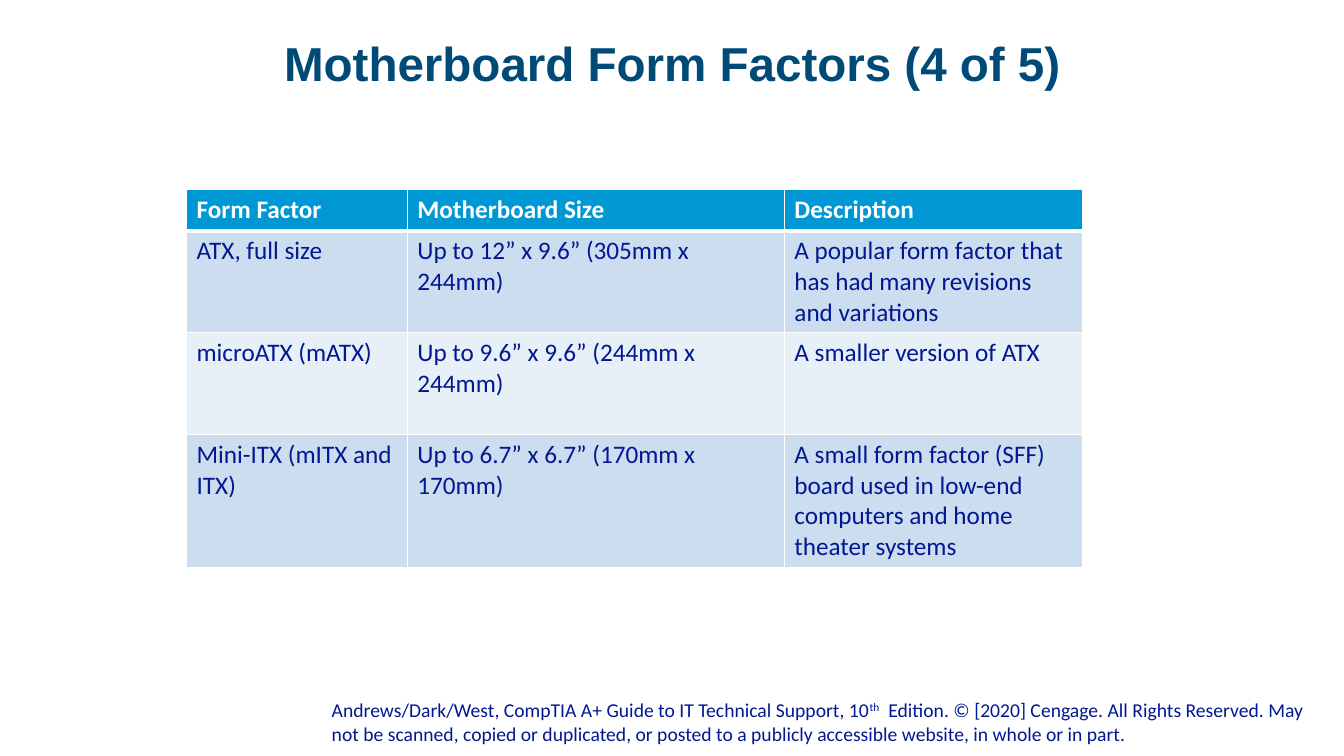
from dataclasses import dataclass

from lxml.etree import SubElement
from pptx import Presentation
from pptx.dml.color import RGBColor
from pptx.enum.text import MSO_VERTICAL_ANCHOR as Anchor, PP_PARAGRAPH_ALIGNMENT as Align
from pptx.oxml.ns import qn
from pptx.util import Inches, Pt

COLORS = {
    "title": "004A78",
    "text": "011892",
    "header": "0098D4",
    "odd_row": "CCDDEF",
    "even_row": "E7EFF7",
    "white": "FFFFFF",
}
COLUMN_WIDTHS = (2.19, 3.74, 2.96)


@dataclass
class FormFactorRow:
    cells: tuple[str, str, str]
    height: float
    fill: str
    color: str = "text"
    bold: bool = False
    bottom_border: float = 1


@dataclass
class TextArea:
    left: float
    top: float
    width: float
    height: float
    anchor: Anchor
    bottom_inset: float = 0


ROWS = (
    FormFactorRow(("Form Factor", "Motherboard Size", "Description"),
                  0.41, "header", "white", True, 3),
    FormFactorRow(("ATX, full size", "Up to 12” x 9.6” (305mm x 244mm)",
                   "A popular form factor that has had many revisions and variations"),
                  1.01, "odd_row"),
    FormFactorRow(("microATX (mATX)", "Up to 9.6” x 9.6” (244mm x 244mm)",
                   "A smaller version of ATX"), 1.01, "even_row"),
    FormFactorRow(("Mini-ITX (mITX and ITX)", "Up to 6.7” x 6.7” (170mm x 170mm)",
                   "A small form factor (SFF) board used in low-end computers "
                   "and home theater systems"), 1.32, "odd_row"),
)
TITLE_AREA = TextArea(0.92, 0.4, 11.5, 0.74, Anchor.TOP)
FOOTER_AREA = TextArea(3.29, 6.92, 9.79, 0.52, Anchor.BOTTOM, 0.05)
FOOTER_SPANS = (
    ("Andrews/Dark/West, CompTIA A+ Guide to IT Technical Support, 10", False),
    ("th", True),
    ("  Edition. © [2020] Cengage. All Rights Reserved. May not be scanned, copied or "
     "duplicated, or posted to a publicly accessible website, in whole or in part.", False),
)


def style_span(span, font: str, size: float, color: str, bold: bool = False) -> None:
    span.font.name = font
    span.font.size = Pt(size)
    span.font.bold = bold
    span.font.color.rgb = RGBColor.from_string(COLORS[color])


def add_text_area(page, area: TextArea):
    box = page.shapes.add_textbox(Inches(area.left), Inches(area.top),
                                  Inches(area.width), Inches(area.height))
    frame = box.text_frame
    frame.word_wrap = True
    frame.vertical_anchor = area.anchor
    frame.margin_left = frame.margin_right = frame.margin_top = 0
    frame.margin_bottom = Inches(area.bottom_inset)
    return frame.paragraphs[0]


def add_title(page) -> None:
    para = add_text_area(page, TITLE_AREA)
    para.text = "Motherboard Form Factors (4 of 5)"
    para.alignment = Align.CENTER
    para.line_spacing = 0.9
    style_span(para.runs[0], "Arial", 34, "title", True)


def add_footer(page) -> None:
    para = add_text_area(page, FOOTER_AREA)
    for text, raised in FOOTER_SPANS:
        span = para.add_run()
        span.text = text
        style_span(span, "Calibri", 14, "text")
        if raised:
            span.font._element.set("baseline", "30000")


def set_borders(cell, top: float, bottom: float) -> None:
    properties = cell._tc.get_or_add_tcPr()
    for side, width in (("L", 1), ("R", 1), ("T", top), ("B", bottom)):
        line = SubElement(properties, qn(f"a:ln{side}"), w=str(Pt(width)))
        fill = SubElement(line, qn("a:solidFill"))
        SubElement(fill, qn("a:srgbClr"), val=COLORS["white"])


def add_form_factor_table(page) -> None:
    height = sum(row.height for row in ROWS)
    table = page.shapes.add_table(
        len(ROWS), len(COLUMN_WIDTHS), Inches(1.85), Inches(1.88),
        Inches(sum(COLUMN_WIDTHS)), Inches(height)).table
    for column, width in zip(table.columns, COLUMN_WIDTHS):
        column.width = Inches(width)
    top_border = 1
    for table_row, row in zip(table.rows, ROWS):
        table_row.height = Inches(row.height)
        for cell, text in zip(table_row.cells, row.cells):
            para = cell.text_frame.paragraphs[0]
            para.text = text
            style_span(para.runs[0], "Calibri", 18, row.color, row.bold)
            set_borders(cell, top_border, row.bottom_border)
            cell.fill.solid()
            cell.fill.fore_color.rgb = RGBColor.from_string(COLORS[row.fill])
        top_border = row.bottom_border


def main() -> None:
    deck = Presentation()
    deck.slide_width = Inches(13.33)
    deck.slide_height = Inches(7.5)
    page = deck.slides.add_slide(deck.slide_layouts[6])
    add_footer(page)
    add_title(page)
    add_form_factor_table(page)
    deck.save("out.pptx")


if __name__ == "__main__":
    main()
